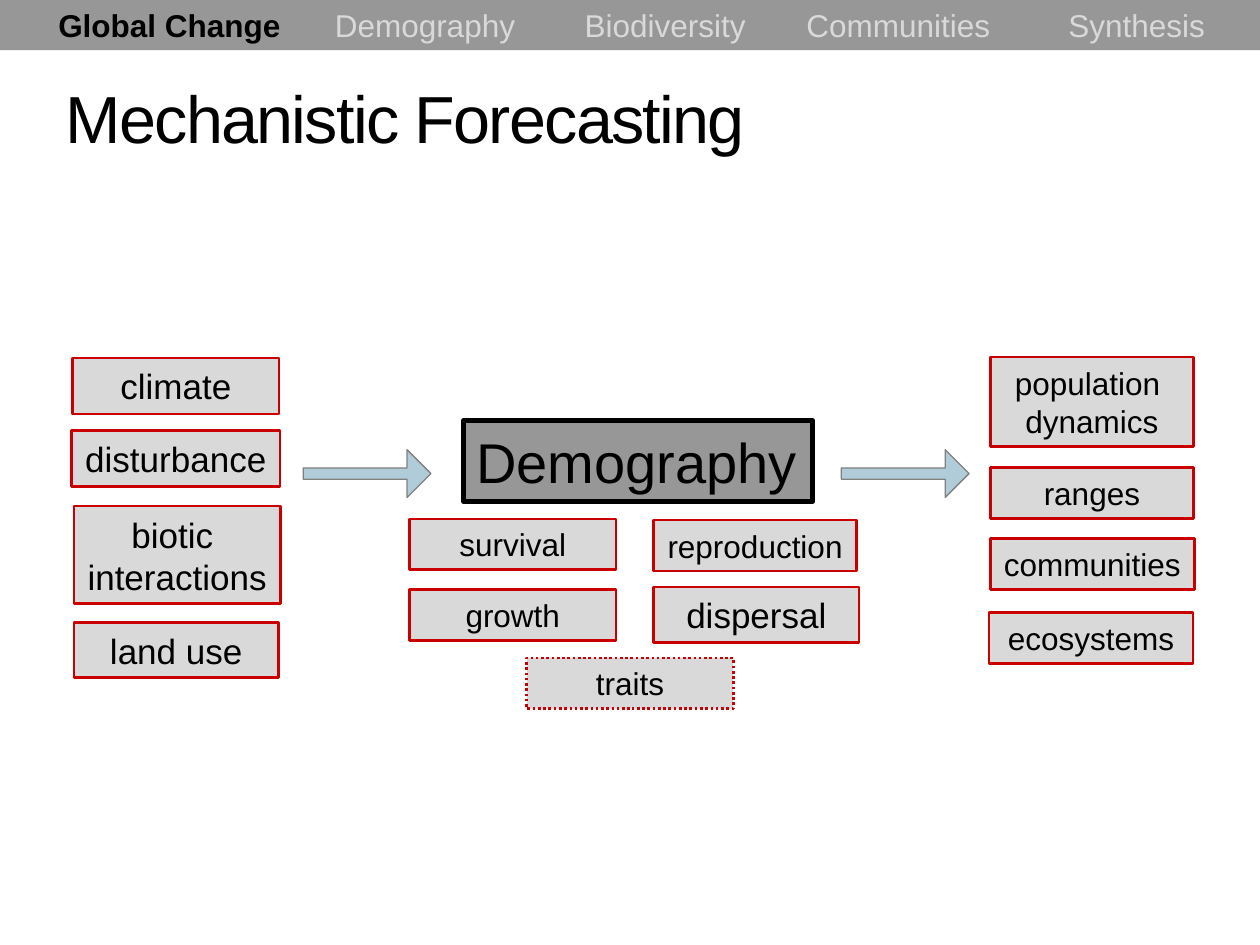
from pptx import Presentation
from pptx.dml.color import RGBColor
from pptx.enum.dml import MSO_LINE
from pptx.enum.shapes import MSO_SHAPE
from pptx.enum.text import MSO_ANCHOR, MSO_AUTO_SIZE, PP_ALIGN
from pptx.util import Pt
from lxml.etree import SubElement

BLACK, RED, GRAY, PALE = "000000", "CA0000", "979797", "D9D9D9"
SECTIONS = ["Demography", "Biodiversity", "Communities", "Synthesis"]
SECTION_TABS = [158, 300.75, 427.5, 577.25]
DRIVERS = [
    ("climate", 41.5, 204.5, 118, 32),
    ("disturbance", 41, 246, 119, 32),
    ("biotic \ninteractions", 42.25, 289.25, 118, 55.75),
    ("land use", 42.25, 355.75, 117, 31.5),
]
RATES = [
    ("survival", 234, 296.5, 118, 29),
    ("growth", 234, 337, 118, 29),
    ("reproduction", 373.5, 297.25, 116, 29),
]
OUTCOMES = [
    ("population \ndynamics", 566, 204, 116, 51),
    ("ranges", 566, 267.25, 116, 29),
    ("communities", 566, 307.75, 116.5, 29),
    ("ecosystems", 565.25, 350, 116.5, 29),
]


def color(value):
    """Turn a hex string into a colour."""
    return RGBColor.from_string(value)


def add_run(paragraph, text, size=18, ink=BLACK, bold=False, spacing=None):
    """Add formatted text to a paragraph."""
    run = paragraph.add_run()
    run.text = text
    run.font.name = "Arial"
    run.font.size = Pt(size)
    run.font.bold = bold
    run.font.color.rgb = color(ink)
    if spacing is not None:
        run._r.get_or_add_rPr().set("spc", str(spacing * 100))


def add_figure(slide, kind, place, fill, border=None, weight=1.5):
    """Draw a flat preset shape."""
    figure = slide.shapes.add_shape(kind, *map(Pt, place))
    figure.shadow.inherit = False
    figure.fill.solid()
    figure.fill.fore_color.rgb = color(fill)
    if border:
        figure.line.color.rgb = color(border)
        figure.line.width = Pt(weight)
    else:
        figure.line.fill.background()
    return figure


def add_label_box(slide, label, *place, size=18, fill=PALE, border=RED, weight=1.5,
                  align=PP_ALIGN.CENTER):
    """Draw a bordered box with one paragraph per line of its label."""
    box = add_figure(slide, MSO_SHAPE.RECTANGLE, place, fill, border, weight)
    frame = box.text_frame
    frame.word_wrap = False
    for index, line in enumerate(label.split("\n")):
        paragraph = frame.add_paragraph() if index else frame.paragraphs[0]
        paragraph.alignment = align
        add_run(paragraph, line, size=size)
    return box


def add_flow_arrow(slide, left):
    """Draw a block arrow between two stages."""
    arrow = add_figure(slide, MSO_SHAPE.RIGHT_ARROW, (left, 257, 73, 27.25),
                       "B1CCD9", "808080", 0.75)
    arrow.adjustments[0] = 0.236
    arrow.adjustments[1] = 0.5


def add_title(slide, text):
    """Place and format the slide title."""
    title = slide.shapes.title
    title.left, title.top, title.width, title.height = map(Pt, (30.25, 28, 689.75, 78))
    frame = title.text_frame
    frame.auto_size = MSO_AUTO_SIZE.NONE
    frame.vertical_anchor = MSO_ANCHOR.MIDDLE
    frame.word_wrap = True
    frame.paragraphs[0].alignment = PP_ALIGN.LEFT
    add_run(frame.paragraphs[0], text, size=38, spacing=-1)


def add_navigation(slide):
    """Draw the section bar with the current section in bold."""
    add_figure(slide, MSO_SHAPE.RECTANGLE, (0, 0, 720, 28.75), GRAY)
    sections = slide.shapes.add_textbox(Pt(26.25), Pt(0), Pt(670), Pt(29))
    sections.text_frame.word_wrap = True
    paragraph = sections.text_frame.paragraphs[0]
    paragraph.alignment = PP_ALIGN.LEFT
    tabs = SubElement(paragraph._p.get_or_add_pPr(),
                      "{http://schemas.openxmlformats.org/drawingml/2006/main}tabLst")
    for position in SECTION_TABS:
        SubElement(tabs, "{http://schemas.openxmlformats.org/drawingml/2006/main}tab",
                   pos=str(Pt(position)), algn="l")
    add_run(paragraph, "Global Change", bold=True)
    for section in SECTIONS:
        add_run(paragraph, "\t" + section, ink=PALE)


def main():
    """Build the slide and save it."""
    deck = Presentation()
    deck.slide_width, deck.slide_height = Pt(720), Pt(540)
    slide = deck.slides.add_slide(deck.slide_layouts[5])
    add_navigation(slide)
    add_title(slide, "Mechanistic Forecasting")
    add_label_box(slide, "Demography", 265, 240.5, 199.5, 46, size=32, fill=GRAY,
                  border=BLACK, weight=3, align=PP_ALIGN.LEFT)
    for driver in DRIVERS:
        add_label_box(slide, *driver, size=20)
    for label in RATES + OUTCOMES:
        add_label_box(slide, *label)
    add_label_box(slide, "dispersal", 373.5, 335.5, 117.5, 31.5, size=20)
    traits = add_label_box(slide, "traits", 301, 376, 118, 29)
    traits.line.dash_style = MSO_LINE.ROUND_DOT
    for left in (173.25, 480.75):
        add_flow_arrow(slide, left)
    deck.save("out.pptx")


if __name__ == "__main__":
    main()
